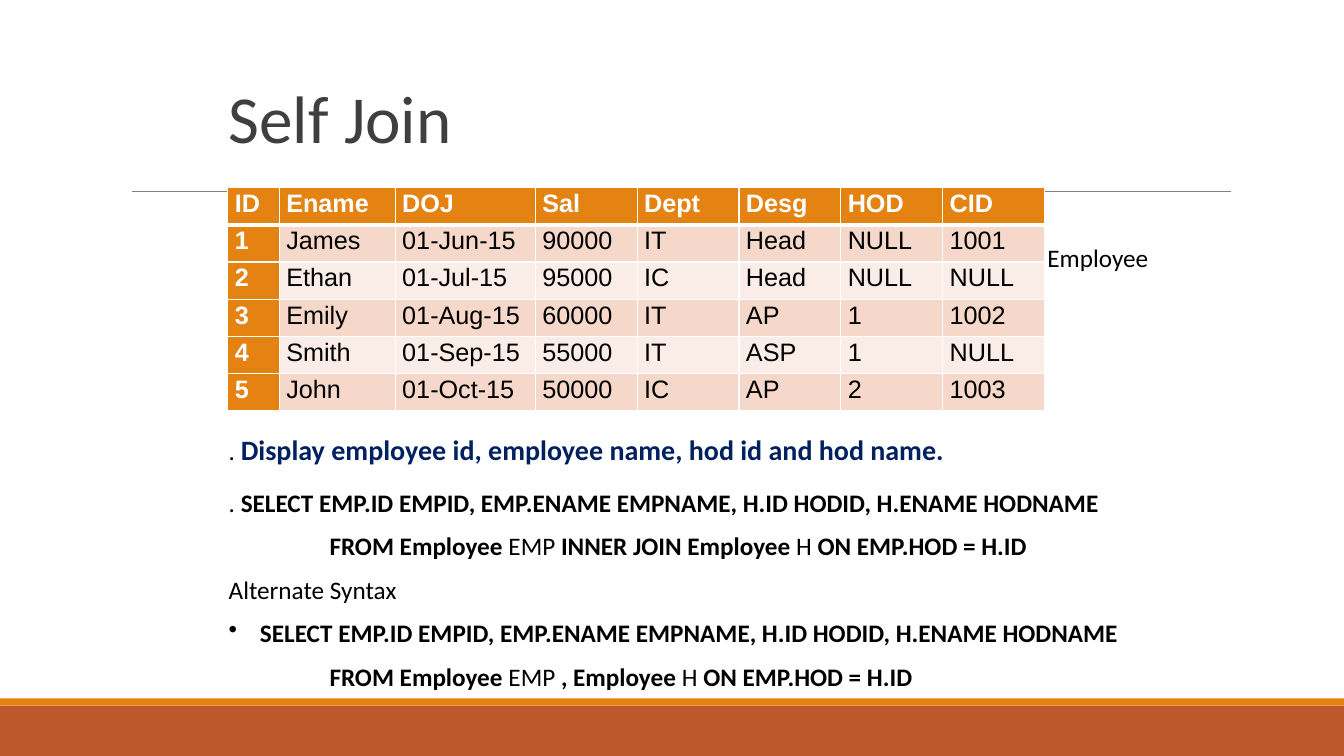
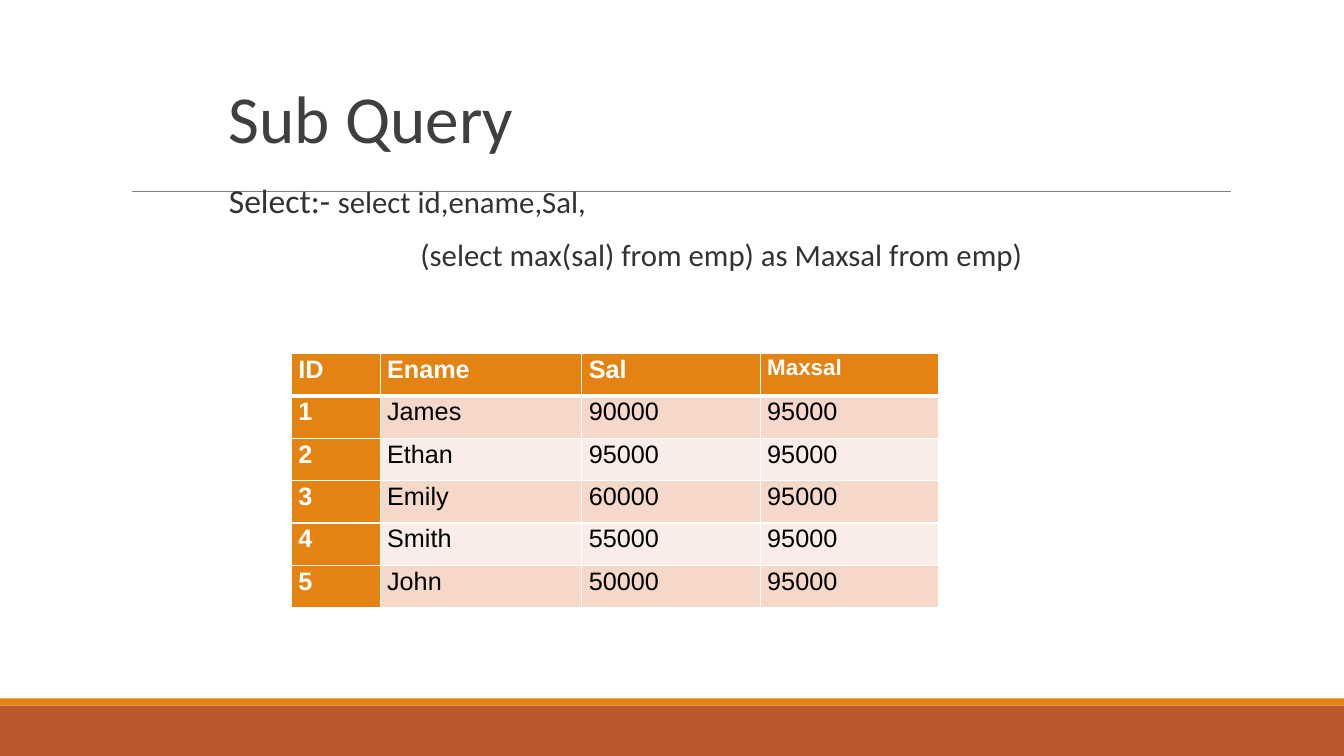
import dataclasses

import lxml.etree
import pptx
import pptx.dml.color
import pptx.enum.shapes
import pptx.enum.text
import pptx.oxml.ns
import pptx.util

Inches = pptx.util.Inches
Pt = pptx.util.Pt
rgb = pptx.dml.color.RGBColor.from_string
qn = pptx.oxml.ns.qn


@dataclasses.dataclass(frozen=True)
class Theme:
    """Colours, fonts and type sizes of the deck."""
    white: str = "FFFFFF"
    black: str = "000000"
    rust: str = "BD582C"
    orange: str = "E48312"
    rule: str = "7F7F7F"
    title: str = "3F3F3F"
    body: str = "333333"
    navy: str = "002060"
    row_bands: tuple = ("F5D8CA", "FAECE6")
    text_font: str = "Calibri"
    table_font: str = "Arial"
    title_size: int = 48
    lead_size: int = 24
    query_size: int = 22
    task_size: int = 20
    text_size: int = 18
    small_size: int = 16


theme = Theme()


def add_text(slide, box, paragraphs, size=theme.text_size, colour=theme.black,
             spacing=1.07, before=8, inset=0.1):
    """Add a text box; a paragraph is (left margin, bullet, runs), a run (text, font changes)."""
    frame = slide.shapes.add_textbox(*map(Inches, box)).text_frame
    frame.word_wrap = True
    frame.margin_left = frame.margin_right = Inches(inset)
    for index, (margin, bullet, runs) in enumerate(paragraphs):
        paragraph = frame.add_paragraph() if index else frame.paragraphs[0]
        properties = paragraph._p.get_or_add_pPr()
        properties.set("marL", str(Inches(margin)))
        if bullet:
            properties.set("indent", str(-Inches(margin)))
            lxml.etree.SubElement(properties, qn("a:buChar")).set("char", bullet)
        paragraph.line_spacing = spacing
        paragraph.space_before = Pt(before if index else 0)
        paragraph.font.name = theme.text_font
        paragraph.font.size = Pt(size)
        paragraph.font.color.rgb = rgb(colour)
        for text, changes in runs:
            run = paragraph.add_run()
            run.text = text
            run.font.bold = changes.get("bold")
            if "size" in changes:
                run.font.size = Pt(changes["size"])
            if "colour" in changes:
                run.font.color.rgb = rgb(changes["colour"])
    return frame


def add_records(slide, left, top, widths, row_height, rows):
    """Add a table with an orange header row and key column over banded rows."""
    table = slide.shapes.add_table(
        len(rows), len(widths), Inches(left), Inches(top),
        Inches(sum(widths)), Inches(row_height * len(rows))).table
    table.horz_banding = False
    for column, width in zip(table.columns, widths):
        column.width = Inches(width)
    for r, row in enumerate(rows):
        table.rows[r].height = Inches(row_height)
        for c, value in enumerate(row):
            cell = table.cell(r, c)
            cell.margin_left = cell.margin_right = Inches(0.07)
            cell.margin_top = cell.margin_bottom = 0
            properties = cell._tc.get_or_add_tcPr()
            for side in "LRTB":
                heavy = (r, side) in ((0, "B"), (1, "T"))
                border = lxml.etree.SubElement(properties, qn("a:ln" + side))
                border.set("w", str(Pt(3 if heavy else 1)))
                fill = lxml.etree.SubElement(border, qn("a:solidFill"))
                lxml.etree.SubElement(fill, qn("a:srgbClr")).set("val", theme.white)
            heading = r == 0 or c == 0
            cell.fill.solid()
            cell.fill.fore_color.rgb = rgb(theme.orange if heading else theme.row_bands[(r - 1) % 2])
            cell.text = str(value)
            paragraph = cell.text_frame.paragraphs[0]
            paragraph.line_spacing = 1.07
            paragraph.font.name = theme.table_font
            paragraph.font.size = Pt(theme.text_size)
            paragraph.font.bold = heading
            paragraph.font.color.rgb = rgb(theme.white if heading else theme.black)
    return table


deck = pptx.Presentation()
deck.slide_width = Inches(13.33)
deck.slide_height = Inches(7.5)

# Shared frame: bands, rule and title
slides = []
for heading in ("Self Join", "Sub Query"):
    slide = deck.slides.add_slide(deck.slide_layouts[6])
    slides.append(slide)
    for top, height, colour in ((7, 0.5, theme.rust), (6.93, 0.07, theme.orange)):
        band = slide.shapes.add_shape(
            pptx.enum.shapes.MSO_SHAPE.RECTANGLE, 0, Inches(top), deck.slide_width, Inches(height))
        band.shadow.inherit = False
        band.fill.solid()
        band.fill.fore_color.rgb = rgb(colour)
        band.line.fill.background()
    title_rule = slide.shapes.add_connector(
        pptx.enum.shapes.MSO_CONNECTOR.STRAIGHT, Inches(1.31), Inches(1.9), Inches(12.21), Inches(1.9))
    title_rule.line.color.rgb = rgb(theme.rule)
    title_rule.line.width = Pt(0.75)
    lxml.etree.SubElement(title_rule._element.spPr, qn("a:effectLst"))
    title = add_text(slide, (2.17, 0.36, 9, 1.25), [(0, None, [(heading, {})])],
                     size=theme.title_size, colour=theme.title, spacing=0.85)
    title.vertical_anchor = pptx.enum.text.MSO_ANCHOR.BOTTOM
self_join, sub_query = slides

employees = [
    (1, "James", "01-Jun-15", 90000, "IT", "Head", "NULL", "1001"),
    (2, "Ethan", "01-Jul-15", 95000, "IC", "Head", "NULL", "NULL"),
    (3, "Emily", "01-Aug-15", 60000, "IT", "AP", 1, "1002"),
    (4, "Smith", "01-Sep-15", 55000, "IT", "ASP", 1, "NULL"),
    (5, "John", "01-Oct-15", 50000, "IC", "AP", 2, "1003"),
]
bold = {"bold": True}

# Self Join
add_records(self_join, 2.26, 1.86, [0.51, 1.15, 1.39] + [1.01] * 5, 0.37,
            [("ID", "Ename", "DOJ", "Sal", "Dept", "Desg", "HOD", "CID")] + employees)
add_text(self_join, (10.29, 2.36, 1.38, 0.4), [(0, None, [("Employee", {})])], spacing=1)
task = ("Display employee id, employee name, hod id and hod name.",
        {"bold": True, "size": theme.task_size, "colour": theme.navy})
add_text(self_join, (2.17, 4.22, 8.83, 0.45), [(0, None, [(". ", {}), task])])

select_clause = ("SELECT EMP.ID EMPID, EMP.ENAME EMPNAME, H.ID HODID, H.ENAME HODNAME", bold)
inner_join, comma_join = [
    (1, None, [("FROM Employee ", bold), ("EMP", {}), (join, bold),
               ("H", {}), (" ON EMP.HOD = H.ID", bold)])
    for join in (" INNER JOIN Employee ", " , Employee ")]
add_text(self_join, (2.17, 4.76, 9.3, 2.16), [
    (0, None, [(". ", {}), select_clause]),
    inner_join,
    (0, None, [("Alternate Syntax", {})]),
    (0.31, "\u2022", [select_clause]),
    comma_join,
])

# Sub Query
add_text(sub_query, (2.17, 1.78, 9, 1.2), [
    (0.1, None, [("Select:- ", {"size": theme.lead_size}), ("select id,ename,Sal,", {})]),
    (2, None, [("(select max(sal) from emp) as Maxsal from emp)", {})]),
], size=theme.query_size, colour=theme.body, spacing=0.9, before=14, inset=0)
top_salary = max(employee[3] for employee in employees)
salaries = add_records(
    sub_query, 2.89, 3.51, [0.88, 2, 1.77, 1.77], 0.42,
    [("ID", "Ename", "Sal", "Maxsal")]
    + [(*employee[:2], employee[3], top_salary) for employee in employees])
salaries.cell(0, 3).text_frame.paragraphs[0].font.size = Pt(theme.small_size)

deck.save("out.pptx")
